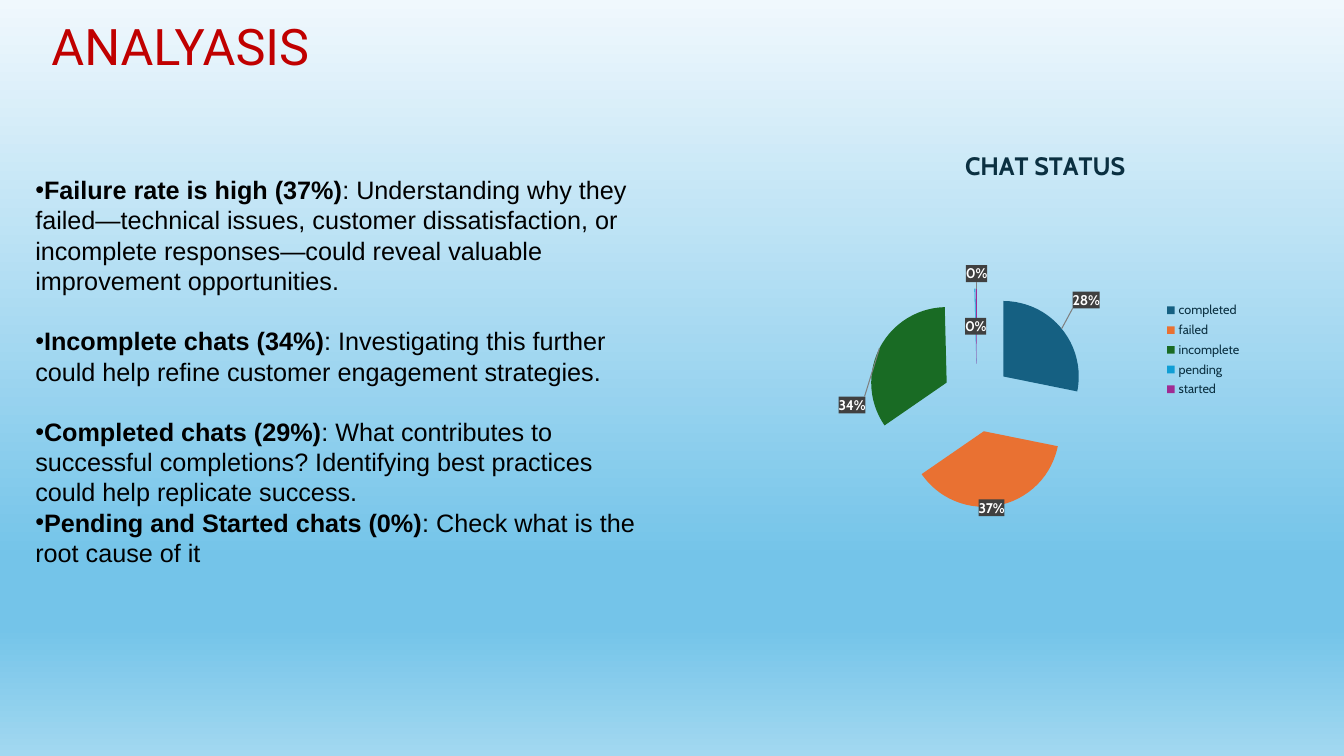
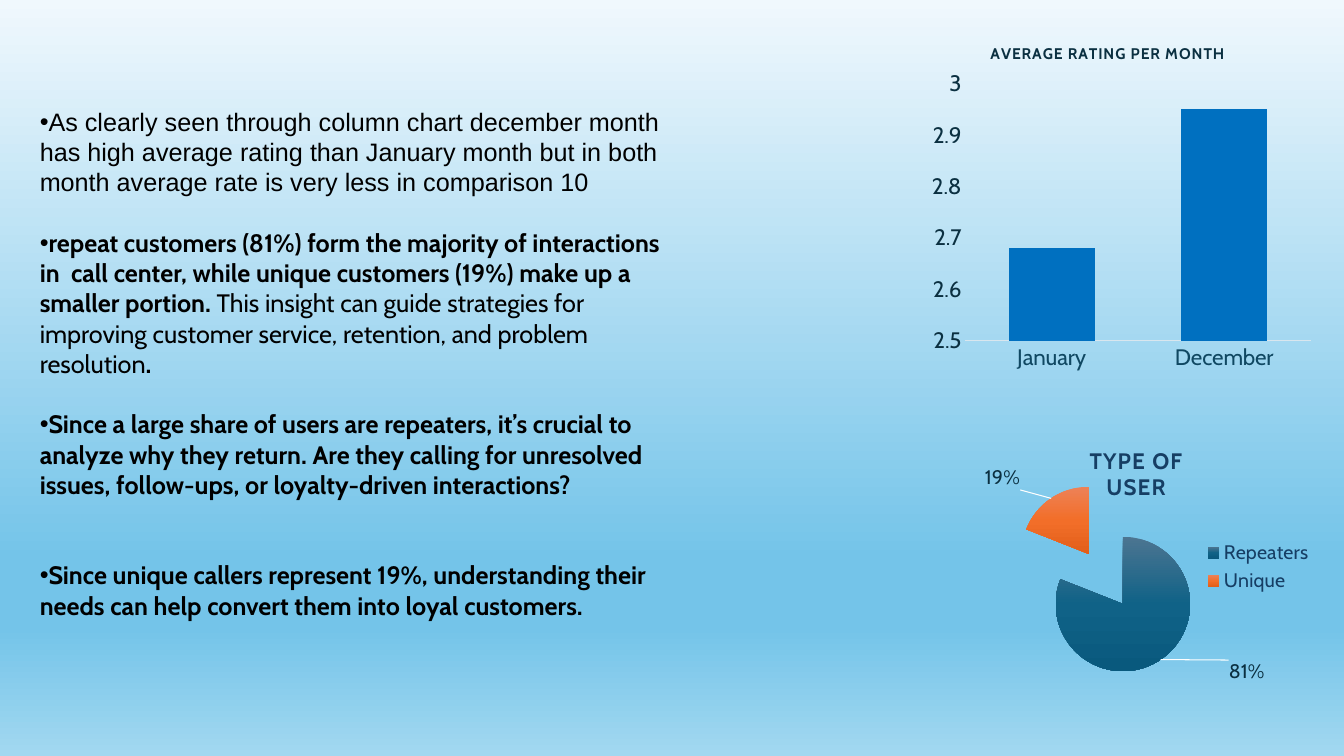
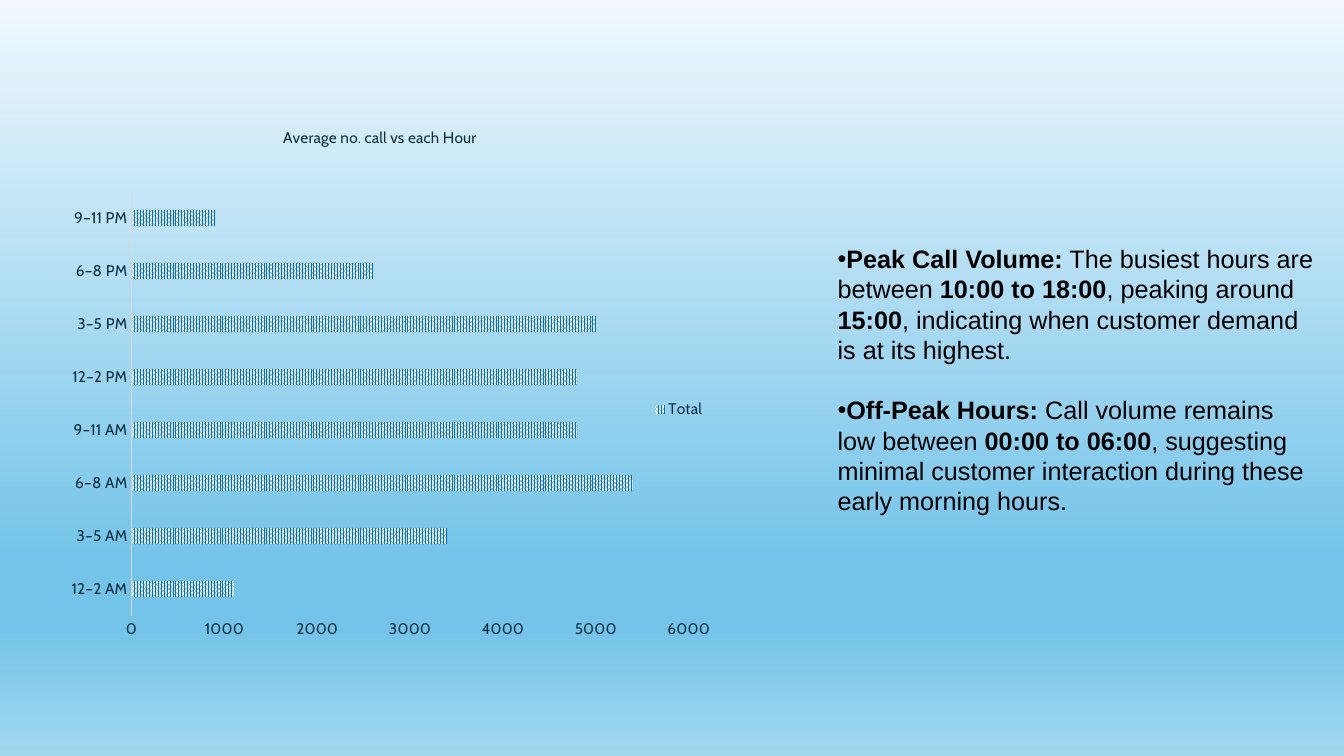
from lxml.etree import SubElement
from pptx import Presentation
from pptx.chart.data import CategoryChartData
from pptx.dml.color import RGBColor
from pptx.enum.chart import XL_CHART_TYPE, XL_LEGEND_POSITION, XL_TICK_MARK
from pptx.enum.dml import MSO_PATTERN
from pptx.enum.text import MSO_ANCHOR, MSO_AUTO_SIZE, PP_ALIGN
from pptx.oxml import parse_xml
from pptx.oxml.ns import nsdecls, qn
from pptx.util import Pt

INK = "0B3041"
NAVY = "163E64"
BLUE = "0070C0"
SKY = [(0, "F0F8FD"), (74, "74C4E9"), (83, "74C4E9"), (100, "A2D8F0")]
LINE = 21.6


def color(text):
    return RGBColor.from_string(text)


def paint(fill, tone):
    fill.solid()
    fill.fore_color.rgb = color(tone)


def blend(fill, root, stops):
    fill.gradient()
    fill.gradient_angle = 270
    holder = list(root.iter(qn("a:gsLst")))[-1]
    for stop in list(holder):
        holder.remove(stop)
    for spot, tone in stops:
        stop = SubElement(holder, qn("a:gs"), pos=str(spot * 1000))
        SubElement(stop, qn("a:srgbClr"), val=tone)


def style(font, size, tone, name="Cabin", bold=False):
    font.size = Pt(size)
    font.name = name
    font.bold = bold
    font.color.rgb = color(tone)


def place(shape, box):
    shape.left, shape.top, shape.width, shape.height = [Pt(n) for n in box]


def add_page(deck, title=None):
    page = deck.slides.add_slide(deck.slide_layouts[1])
    head = page.shapes.title
    if title is None:
        head.element.getparent().remove(head.element)
        return page
    place(head, (29.5, 7.2, 238.3, 51.1))
    frame = head.text_frame
    frame.text = title
    frame.auto_size = MSO_AUTO_SIZE.NONE
    frame.vertical_anchor = MSO_ANCHOR.TOP
    line = frame.paragraphs[0]
    line.alignment = PP_ALIGN.LEFT
    style(line.font, 36, "C00000", "Roboto")
    return page


def add_list(page, box, items):
    body = page.placeholders[1]
    place(body, box)
    frame = body.text_frame
    frame.word_wrap = True
    frame.auto_size = MSO_AUTO_SIZE.NONE
    frame.vertical_anchor = MSO_ANCHOR.MIDDLE
    for rank, (gap, face, text) in enumerate(items):
        para = frame.add_paragraph() if rank else frame.paragraphs[0]
        for turn, part in enumerate(text.split("|")):
            if part:
                run = para.add_run()
                run.text = part
                run.font.bold = turn % 2 == 1
        props = para._p.get_or_add_pPr()
        props.set("marL", "0")
        props.set("indent", "0")
        SubElement(props, qn("a:buChar"), char="•")
        para.alignment = PP_ALIGN.LEFT
        para.line_spacing = Pt(LINE)
        para.space_before = Pt(gap * LINE)
        para.space_after = Pt(0)
        font = para.font
        font.size = Pt(18)
        font.name = face
        font.color.rgb = color("000000")


def set_plot(chart, area):
    plot = next(chart.element.iter(qn("c:plotArea")))
    for old in plot.findall(qn("c:layout")):
        plot.remove(old)
    sizes = "".join(f'<c:{key} val="{val}"/>' for key, val in zip("xywh", area))
    plot.insert(0, parse_xml(
        f'<c:layout {nsdecls("c")}><c:manualLayout><c:layoutTarget val="inner"/>'
        f'<c:xMode val="edge"/><c:yMode val="edge"/>{sizes}'
        f'</c:manualLayout></c:layout>'))


def set_title(chart, text, size, tone, bold, space):
    chart.has_title = True
    title = chart.chart_title
    title.include_in_layout = False
    title.text_frame.text = text
    for para in title.text_frame.paragraphs:
        style(para.font, size, tone, bold=bold)
    for props in next(chart.element.iter(qn("c:title"))).iter(qn("a:defRPr")):
        props.set("spc", str(space))


def set_legend(chart, size, tone):
    chart.has_legend = True
    legend = chart.legend
    legend.position = XL_LEGEND_POSITION.RIGHT
    legend.include_in_layout = False
    style(legend.font, size, tone)


def add_chart(page, box, kind, name, data, area):
    source = CategoryChartData()
    source.categories = list(data)
    source.add_series(name, list(data.values()))
    chart = page.shapes.add_chart(kind, *[Pt(n) for n in box], source).chart
    style(chart.font, 10, "000000")
    chart.has_legend = False
    set_plot(chart, area)
    return chart


def label_xml(shifts, size, tone, bold, back, lead):
    fill = f'<a:solidFill><a:srgbClr val="{back}"/></a:solidFill>' if back else "<a:noFill/>"
    look = (
        f'<c:numFmt formatCode="0%" sourceLinked="0"/><c:spPr>{fill}</c:spPr>'
        f'<c:txPr><a:bodyPr/><a:p><a:pPr><a:defRPr sz="{size * 100}" b="{int(bold)}">'
        f'<a:solidFill><a:srgbClr val="{tone}"/></a:solidFill>'
        f'<a:latin typeface="Cabin"/></a:defRPr></a:pPr>'
        f'<a:endParaRPr lang="en-US"/></a:p></c:txPr><c:dLblPos val="ctr"/>'
        f'<c:showLegendKey val="0"/><c:showVal val="0"/><c:showCatName val="0"/>'
        f'<c:showSerName val="0"/><c:showPercent val="1"/><c:showBubbleSize val="0"/>')
    each = "".join(
        f'<c:dLbl><c:idx val="{spot}"/><c:layout><c:manualLayout>'
        f'<c:x val="{x}"/><c:y val="{y}"/></c:manualLayout></c:layout>{look}</c:dLbl>'
        for spot, (x, y) in shifts.items())
    rule = (f'<c:leaderLines><c:spPr><a:ln w="9525"><a:solidFill><a:srgbClr val="{lead}"/>'
            f'</a:solidFill></a:ln></c:spPr></c:leaderLines>')
    return (f'<c:dLbls {nsdecls("c", "a")}>{each}{look}'
            f'<c:showLeaderLines val="1"/>{rule}</c:dLbls>')


def add_pie(page, box, data, area, tones, labels):
    chart = add_chart(page, box, XL_CHART_TYPE.PIE, "Series 1", data, area)
    plot = chart.plots[0]
    plot.vary_by_categories = True
    for spot, tone in enumerate(tones):
        fill = plot.series[0].points[spot].format.fill
        if isinstance(tone, str):
            paint(fill, tone)
        else:
            blend(fill, chart.element, tone)
    root = chart.element
    next(root.iter(qn("c:dPt"))).addprevious(
        parse_xml(f'<c:explosion {nsdecls("c")} val="45"/>'))
    next(root.iter(qn("c:cat"))).addprevious(parse_xml(label_xml(*labels)))
    return chart


def add_bars(page, box, kind, name, data, area, gap, scale, size, tone, rule):
    chart = add_chart(page, box, kind, name, data, area)
    plot = chart.plots[0]
    plot.vary_by_categories = False
    plot.gap_width = gap
    base, value = chart.category_axis, chart.value_axis
    for axis, ink in ((base, tone), (value, INK)):
        axis.has_major_gridlines = False
        axis.major_tick_mark = XL_TICK_MARK.NONE
        axis.minor_tick_mark = XL_TICK_MARK.NONE
        style(axis.tick_labels.font, size, ink)
    value.minimum_scale, value.maximum_scale, value.major_unit = scale
    value.format.line.fill.background()
    base.format.line.color.rgb = color(rule)
    base.format.line.width = Pt(0.75)
    return chart


def status_page(deck):
    page = add_page(deck, "ANALYASIS")
    add_list(page, (18, 119.5, 450, 290.9), [
        (0, "Arial", "|Failure rate is high (37%)|: Understanding why they failed—technical issues, customer dissatisfaction, or incomplete responses—could reveal valuable improvement opportunities."),
        (1, "Arial", "|Incomplete chats (34%)|: Investigating this further could help refine customer engagement strategies."),
        (1, "Arial", "|Completed chats (29%)|: What contributes to successful completions? Identifying best practices could help replicate success."),
        (0, "Arial", "|Pending and Started chats (0%)|: Check what is the root cause of it"),
    ])
    data = {"completed": 28, "failed": 37, "incomplete": 34, "pending": 0.2, "started": 0.2}
    shifts = {0: (0.13, -0.12), 1: (0, 0.09), 2: (-0.15, 0.09), 4: (0, -0.12)}
    chart = add_pie(page, (599, 92.9, 295.2, 313.9), data, (0.07, 0.3, 0.53, 0.62),
                    ["156082", "E97132", "196B24", "0F9ED5", "A02B93"],
                    (shifts, 10, "FFFFFF", True, "404040", "7F7F7F"))
    set_title(chart, "CHAT STATUS", 18, INK, True, 0)
    set_legend(chart, 9, INK)


def rating_page(deck):
    page = add_page(deck)
    add_list(page, (21.2, 59.3, 468, 400.3), [
        (0, "Arial", "As clearly seen through column chart december month has high average rating than January month but in both month average rate is very less in comparison 10"),
        (1, "Cabin", "|repeat customers (81%) form the majority of interactions in  call center, while unique customers (19%) make up a smaller portion. |This insight can guide strategies for improving customer service, retention, and problem resolution|.|"),
        (1, "Cabin", "|Since a large share of users are repeaters, it’s crucial to analyze why they return. Are they calling for unresolved issues, follow-ups, or loyalty-driven interactions?|"),
        (2, "Cabin", "|Since unique callers represent 19%, understanding their needs can help convert them into loyal customers.|"),
    ])
    tones = [[(0, "4C7591"), (50, "106287"), (100, "09597D")],
             [(0, "ED8257"), (50, "F26E29"), (100, "E25F1A")]]
    shifts = {0: (0.28, 0.15), 1: (-0.18, -0.18)}
    users = add_pie(page, (677.5, 308.9, 267.8, 192.2),
                    {"Repeaters": 81, "Unique": 19}, (0.16, 0.18, 0.52, 0.73),
                    tones, (shifts, 14, INK, False, None, "FFFFFF"))
    set_title(users, "TYPE OF\nUSER", 16, NAVY, True, 100)
    set_legend(users, 14, NAVY)
    rates = add_bars(page, (637.2, 19.4, 308.2, 270), XL_CHART_TYPE.COLUMN_CLUSTERED,
                     "Series 1", {"January": 2.68, "December": 2.95},
                     (0.17, 0.15, 0.8, 0.68), 100, (2.5, 3, 0.1), 16, "104862", "D9E6EE")
    set_title(rates, "AVERAGE RATING PER MONTH", 11, INK, True, 50)
    paint(rates.plots[0].series[0].format.fill, BLUE)


def hours_page(deck):
    page = add_page(deck)
    add_list(page, (591.1, 169.2, 356, 203.8), [
        (0, "Arial", "|Peak Call Volume:| The busiest hours are between |10:00 to 18:00|, peaking around |15:00|, indicating when customer demand is at its highest."),
        (1, "Arial", "|Off-Peak Hours:| Call volume remains low between |00:00 to 06:00|, suggesting minimal customer interaction during these early morning hours."),
    ])
    data = {"12–2 AM": 1100, "3–5 AM": 3400, "6–8 AM": 5400, "9–11 AM": 4800,
            "12–2 PM": 4800, "3–5 PM": 5000, "6–8 PM": 2600, "9–11 PM": 900}
    chart = add_bars(page, (31.7, 76.3, 479.5, 432.7), XL_CHART_TYPE.BAR_CLUSTERED,
                     "Total", data, (0.13, 0.14, 0.83, 0.7), 219, (0, 6000, 1000),
                     11, INK, "D9D9D9")
    set_title(chart, "Average no. call vs each Hour", 11, INK, False, 0)
    set_legend(chart, 11, INK)
    fill = chart.plots[0].series[0].format.fill
    fill.patterned()
    fill.pattern = MSO_PATTERN.PERCENT_80
    fill.fore_color.rgb = color(BLUE)
    fill.back_color.rgb = color("FFFFFF")


def main():
    deck = Presentation()
    deck.slide_width, deck.slide_height = Pt(960), Pt(540)
    master = deck.slide_master
    blend(master.background.fill, master.element, SKY)
    status_page(deck)
    rating_page(deck)
    hours_page(deck)
    deck.save("out.pptx")


if __name__ == "__main__":
    main()
